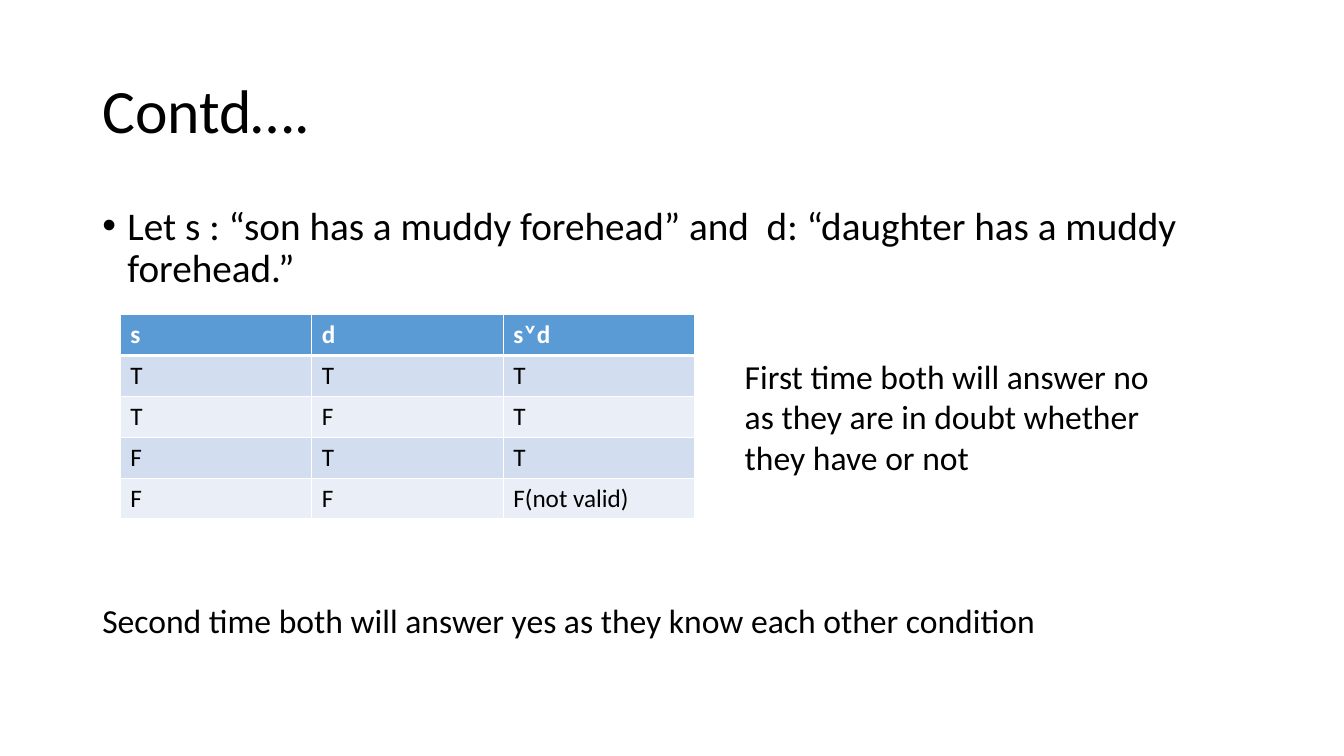
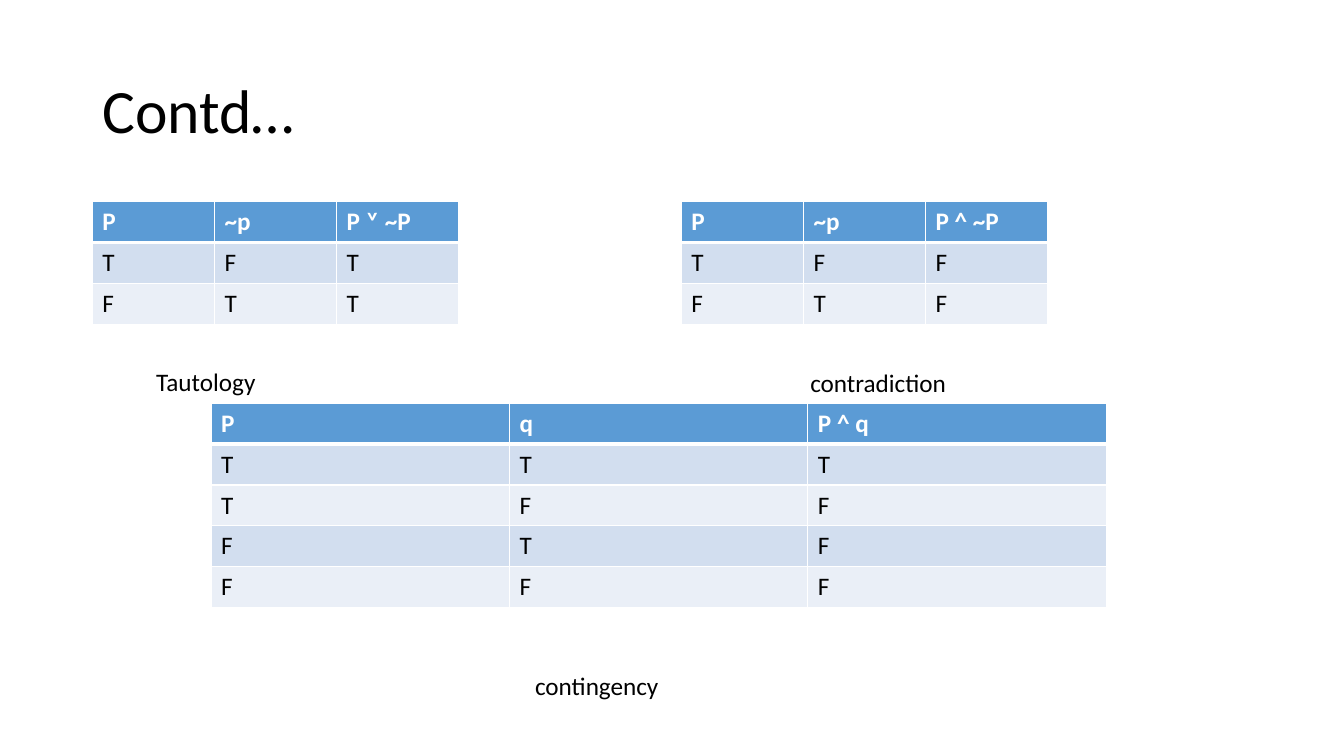
import pptx
import pptx.dml.color
import pptx.enum.text
import pptx.oxml.ns
import pptx.util
from lxml import etree

Pt = pptx.util.Pt

# Content: texts are (text, left, top, width, height, size, wrap)
SLIDES = [
    {
        "title": "Contd….",
        "bullet": "Let s : “son has a muddy forehead” and  d: “daughter has a muddy forehead.”",
        "tables": [
            (85.9, 224.8, 410.4, ["s", "d", "s˅d"],
             ["T T T", "T F T", "F T T", "F F F(not valid)"]),
        ],
        "texts": [
            ("First time both will answer no as they are in doubt whether they have or not",
             524.9, 250.6, 311.8, 94.3, 24, True),
            ("Second time both will answer yes as they know each other condition",
             66, 424.8, 686.9, 36, 24, False),
        ],
    },
    {
        "title": "Contd…",
        "tables": [
            (66, 144, 261.6, ["P", "~p", "P ˅ ~P"], ["T F T", "F T T"]),
            (486.7, 144, 261.6, ["P", "~p", "P ^ ~P"], ["T F F", "F T F"]),
            (150.7, 288, 639.6, ["P", "q", "P ^ q"],
             ["T T T", "T F F", "F T F", "F F F"]),
        ],
        "texts": [
            ("Tautology", 104.4, 257.8, 92.2, 28.8, 18, True),
            ("contradiction", 571.7, 258.8, 123.1, 28.8, 18, True),
            ("contingency", 375.1, 475.2, 139.7, 28.8, 18, True),
        ],
    },
]

# Shared style
FONT = "Calibri"
BLACK, WHITE = "000000", "FFFFFF"
HEADER_FILL = "5B9BD5"
BAND_FILLS = ["D2DEEF", "EAEFF7"]
ROW_HEIGHT = 29.2
TITLE_AREA = (66, 28.8, 828, 104.4)
BODY_AREA = (66, 144, 828, 363.6)


def color(value):
    return pptx.dml.color.RGBColor.from_string(value)


def format_runs(para, size, ink=BLACK, bold=False):
    for span in para.runs:
        span.font.name = FONT
        span.font.size = Pt(size)
        span.font.bold = bold
        span.font.color.rgb = color(ink)


def add_text(page, text, left, top, width, height, size, wrap=True):
    box = page.shapes.add_textbox(Pt(left), Pt(top), Pt(width), Pt(height))
    box.text_frame.word_wrap = wrap
    box.text_frame.text = text
    format_runs(box.text_frame.paragraphs[0], size)
    return box


def add_title(page, text):
    box = add_text(page, text, *TITLE_AREA, 44)
    box.text_frame.vertical_anchor = pptx.enum.text.MSO_ANCHOR.MIDDLE
    box.text_frame.paragraphs[0].line_spacing = 0.9


def add_bullet(page, text):
    para = add_text(page, text, *BODY_AREA, 28).text_frame.paragraphs[0]
    para.line_spacing = 0.9
    para.space_before = Pt(10)
    properties = para._p.get_or_add_pPr()
    properties.set("marL", str(Pt(18)))
    properties.set("indent", str(-Pt(18)))
    font = etree.SubElement(properties, pptx.oxml.ns.qn("a:buFont"))
    font.set("typeface", "Arial")
    mark = etree.SubElement(properties, pptx.oxml.ns.qn("a:buChar"))
    mark.set("char", "•")


def add_borders(cell, row):
    # The rule under the header row is thicker than the others
    widths = {"L": 1, "R": 1, "T": 3 if row == 1 else 1, "B": 3 if row == 0 else 1}
    properties = cell._tc.get_or_add_tcPr()
    for side, width in widths.items():
        line = etree.SubElement(properties, pptx.oxml.ns.qn("a:ln" + side))
        line.set("w", str(Pt(width)))
        fill = etree.SubElement(line, pptx.oxml.ns.qn("a:solidFill"))
        etree.SubElement(fill, pptx.oxml.ns.qn("a:srgbClr")).set("val", WHITE)


def add_truth_table(page, left, top, width, header, body):
    rows = [header] + [line.split(" ", len(header) - 1) for line in body]
    table = page.shapes.add_table(
        len(rows), len(header), Pt(left), Pt(top), Pt(width),
        Pt(ROW_HEIGHT * len(rows))).table
    for row, values in enumerate(rows):
        table.rows[row].height = Pt(ROW_HEIGHT)
        is_header = row == 0
        for column, value in enumerate(values):
            cell = table.cell(row, column)
            cell.text_frame.text = value
            format_runs(cell.text_frame.paragraphs[0], 18,
                        WHITE if is_header else BLACK, is_header)
            add_borders(cell, row)
            cell.fill.solid()
            cell.fill.fore_color.rgb = color(
                HEADER_FILL if is_header else BAND_FILLS[(row - 1) % 2])


def main():
    deck = pptx.Presentation()
    deck.slide_width, deck.slide_height = Pt(960), Pt(540)
    for content in SLIDES:
        page = deck.slides.add_slide(deck.slide_layouts[6])
        add_title(page, content["title"])
        if "bullet" in content:
            add_bullet(page, content["bullet"])
        for table in content["tables"]:
            add_truth_table(page, *table)
        for text in content["texts"]:
            add_text(page, *text)
    deck.save("out.pptx")


if __name__ == "__main__":
    main()
